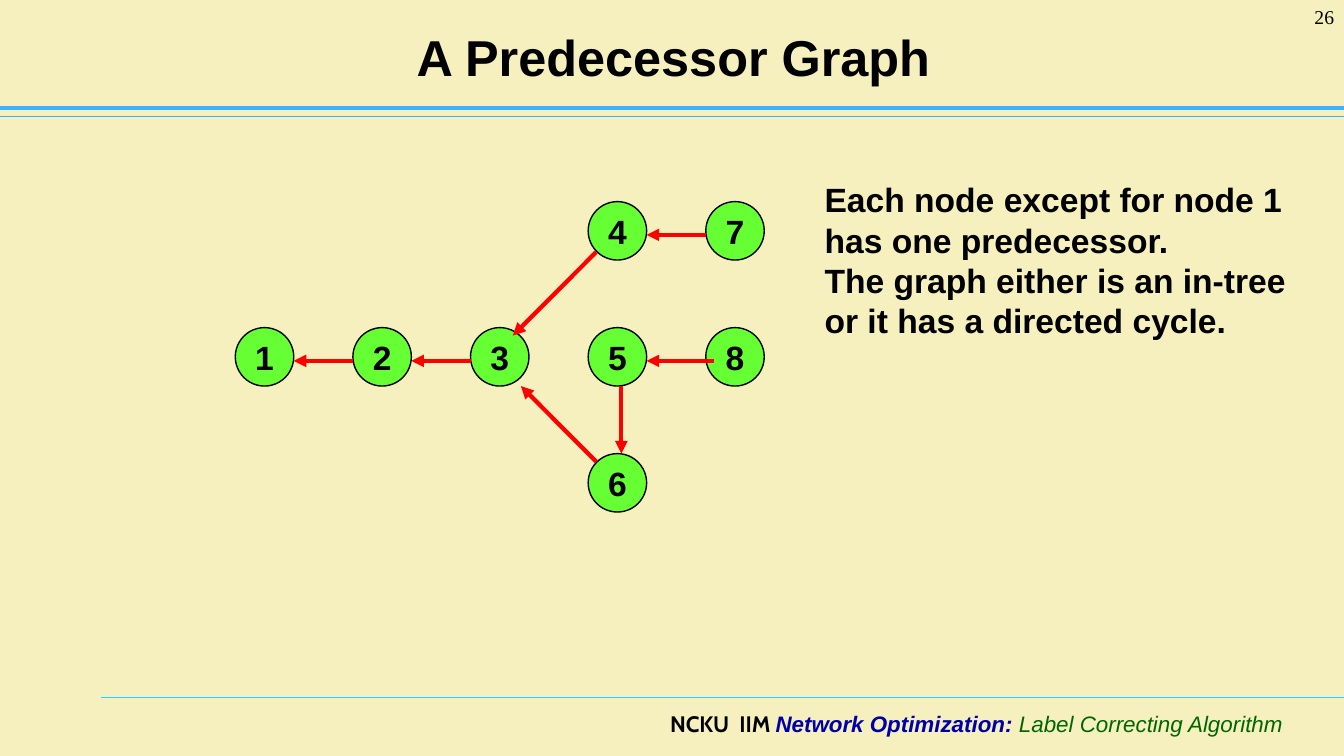
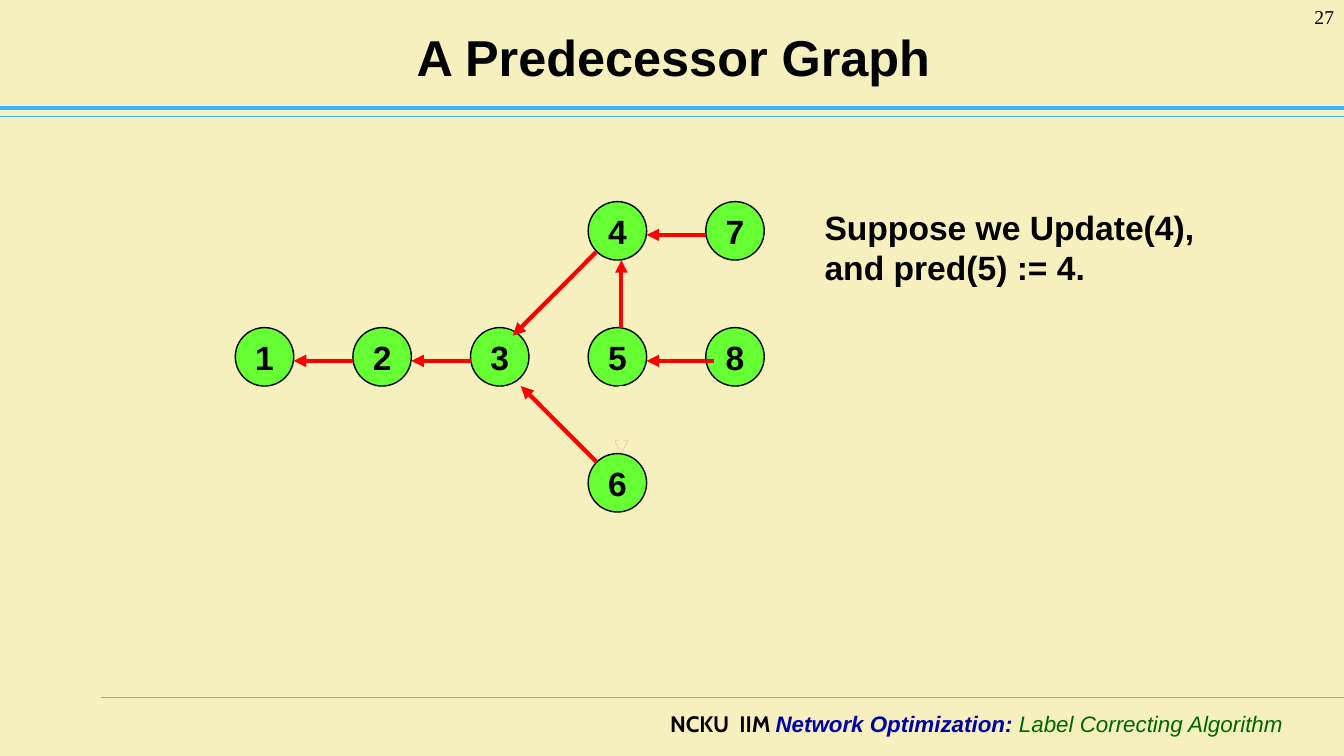
"""Build two slides on predecessor graphs."""
import pptx
import pptx.util
import pptx.dml.color
import pptx.enum.shapes
import pptx.enum.text
import pptx.oxml
import pptx.oxml.ns

Inches = pptx.util.Inches
ALIGN = pptx.enum.text.PP_ALIGN
BACK, BLACK, RED, GREEN = "F5F0BD", "000000", "FF0000", "66FF33"
SKY, CYAN, NAVY, FOREST = "3DB0FF", "33CCFF", "0000A8", "006600"
SIDE = 0.58
NODES = {"1": (0, 1), "2": (1, 1), "3": (2, 1), "4": (3, 0),
         "7": (4, 0), "6": (3, 2), "5": (3, 1), "8": (4, 1)}
LEFT, RIGHT, TOP, BOTTOM = (0, 0.33), (SIDE, 0.33), (0.33, 0), (0.33, SIDE)
DROP = ("5", BOTTOM, "6", TOP)
EDGES = [
    ("2", LEFT, "1", RIGHT),
    ("3", LEFT, "2", RIGHT),
    ("8", (0.08, 0.33), "5", RIGHT),
    DROP,
    ("6", (0.08, 0.08), "3", (0.5, SIDE)),
    ("4", (0.08, 0.5), "3", (0.42, 0.08)),
    ("7", LEFT, "4", RIGHT),
]


def paint(color, code):
    color.rgb = pptx.dml.color.RGBColor.from_string(code)


def style(font, size, code=BLACK, name="Arial", bold=True, italic=False):
    font.size = pptx.util.Pt(size)
    font.name, font.bold, font.italic = name, bold, italic
    paint(font.color, code)


def place(shape, *box):
    shape.left, shape.top, shape.width, shape.height = map(Inches, box)


def write(frame, lines, size, align=ALIGN.LEFT, **look):
    frame.text = "\n".join(lines)
    for para in frame.paragraphs:
        para.alignment = align
        style(para.font, size, **look)


def add_box(slide, *box):
    frame = slide.shapes.add_textbox(*map(Inches, box)).text_frame
    frame.word_wrap = True
    return frame


def add_line(slide, start, end, code, width):
    line = slide.shapes.add_connector(
        pptx.enum.shapes.MSO_CONNECTOR.STRAIGHT, *map(Inches, (*start, *end)))
    paint(line.line.color, code)
    line.line.width = pptx.util.Pt(width)
    props = line._element.spPr
    props.append(pptx.oxml.parse_xml(
        f"<a:effectLst {pptx.oxml.ns.nsdecls('a')}/>"))
    return line


def corner(name):
    col, row = NODES[name]
    return 7 / 3 + col * 7 / 6, 2 + row * 1.25


def spot(name, shift):
    return [a + b for a, b in zip(corner(name), shift)]


def add_edge(slide, edge, code=RED):
    tail, out, head, into = edge
    line = add_line(slide, spot(tail, out), spot(head, into), code, 3)
    line.line._get_or_add_ln().append(pptx.oxml.parse_xml(
        f"<a:tailEnd {pptx.oxml.ns.nsdecls('a')} type='triangle'/>"))


def add_node(slide, name):
    node = slide.shapes.add_shape(
        pptx.enum.shapes.MSO_SHAPE.OVAL,
        *map(Inches, (*corner(name), SIDE, SIDE)))
    node.shadow.inherit = False
    node.fill.solid()
    paint(node.fill.fore_color, GREEN)
    paint(node.line.color, BLACK)
    node.line.width = pptx.util.Pt(1)
    node.text_frame.word_wrap = False
    node.text_frame.vertical_anchor = pptx.enum.text.MSO_ANCHOR.MIDDLE
    write(node.text_frame, [name], 24, ALIGN.CENTER)


def add_footer(slide):
    para = add_box(slide, 2.44, 7, 10.38, 0.5).paragraphs[0]
    para.alignment = ALIGN.RIGHT
    for text, look in (
            ("NCKU  IIM ", {"name": "Cabin"}),
            ("Network Optimization: ", {"code": NAVY, "italic": True}),
            ("Label Correcting Algorithm",
             {"code": FOREST, "bold": False, "italic": True})):
        run = para.add_run()
        run.text = text
        style(run.font, 16, **look)


def add_slide(deck, number, note, box):
    slide = deck.slides.add_slide(deck.slide_layouts[5])
    add_line(slide, (1, 6.92), (13.33, 6.92), CYAN, 0.75)
    add_line(slide, (0, 1.16), (13.33, 1.16), SKY, 0.75)
    add_line(slide, (0, 1.07), (13.33, 1.07), SKY, 2.5)
    add_footer(slide)
    title = slide.shapes.title
    place(title, 0.68, 0.12, 12, 0.87)
    title.text_frame.vertical_anchor = pptx.enum.text.MSO_ANCHOR.MIDDLE
    title.text_frame.auto_size = pptx.enum.text.MSO_AUTO_SIZE.NONE
    write(title.text_frame, ["A Predecessor Graph"], 36, ALIGN.CENTER)
    write(add_box(slide, 12.22, 0, 1.11, 0.5), [str(number)], 14, ALIGN.RIGHT,
          name="Times New Roman", bold=False)
    write(add_box(slide, *box), note, 24)
    for name in NODES:
        add_node(slide, name)
    for edge in EDGES:
        add_edge(slide, edge)
    return slide


def main():
    deck = pptx.Presentation()
    deck.slide_width, deck.slide_height = Inches(13.33), Inches(7.5)
    fill = deck.slide_master.background.fill
    fill.solid()
    paint(fill.fore_color, BACK)
    add_slide(deck, 26, [
        "Each node except for node 1 has one predecessor.",
        "The graph either is an in-tree or it has a directed cycle.",
    ], (8.08, 1.73, 5.08, 1.72))
    update = add_slide(deck, 27, ["Suppose we Update(4), and pred(5) := 4."],
                       (8.08, 2, 4.14, 0.91))
    add_edge(update, DROP, BACK)
    add_edge(update, ("5", TOP, "4", BOTTOM))
    deck.save("out.pptx")


if __name__ == "__main__":
    main()
